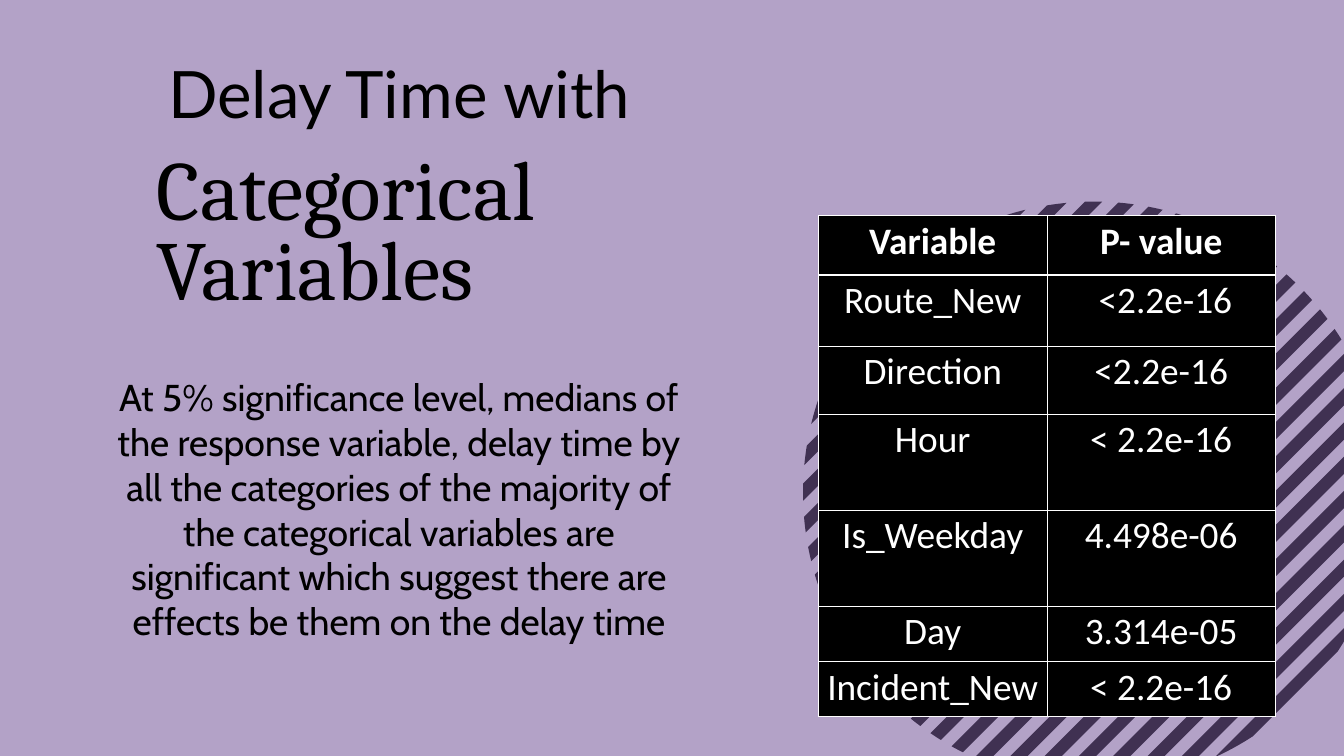
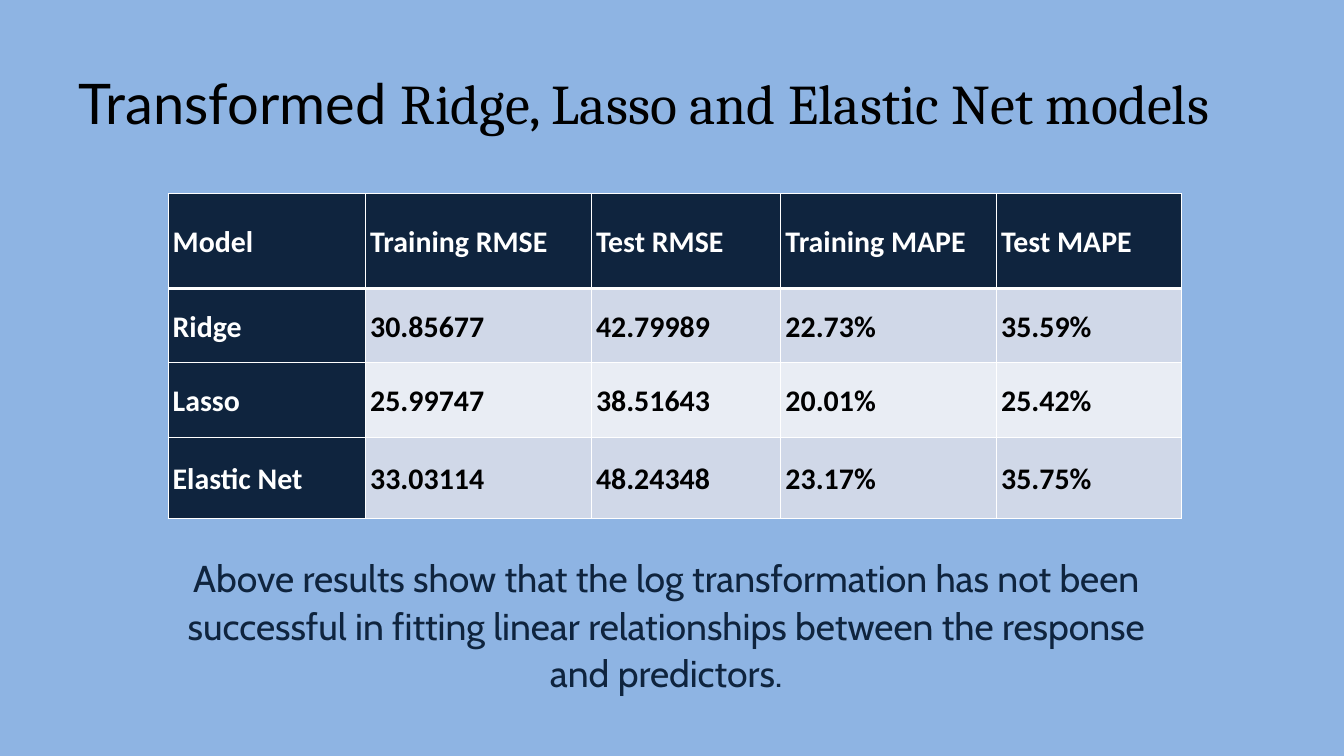
"""Build two slides on delay time: categorical variables and transformed models."""
from dataclasses import dataclass, field
from math import acos, cos, pi, sin, sqrt
from typing import Any

from lxml.etree import SubElement
from pptx import Presentation
from pptx.dml.color import RGBColor
from pptx.enum.text import MSO_ANCHOR, MSO_AUTO_SIZE, PP_ALIGN
from pptx.oxml.ns import qn
from pptx.presentation import Presentation as Deck
from pptx.slide import Slide
from pptx.util import Inches, Pt

COLOURS = {
    "lilac": "B3A2C7",
    "sky": "8EB4E3",
    "plum": "403152",
    "navy": "0F243E",
    "band_dark": "D0D8E8",
    "band_light": "E9EDF4",
    "black": "000000",
    "white": "FFFFFF",
}
NO_INSETS = dict.fromkeys(("margin_left", "margin_top", "margin_right", "margin_bottom"), 0)
TEXT_FRAME = NO_INSETS | {"word_wrap": True, "auto_size": MSO_AUTO_SIZE.SHAPE_TO_FIT_TEXT,
                          "vertical_anchor": MSO_ANCHOR.TOP}
CENTRED = {"alignment": PP_ALIGN.CENTER}
LEFT = {"alignment": PP_ALIGN.LEFT}
TITLE_PARA = LEFT | {"line_spacing": Pt(111.8)}


@dataclass
class Span:
    """A stretch of text in one font."""
    text: str
    font: str
    size: float
    colour: str = "black"
    bold: bool = False


@dataclass
class TextBlock:
    """A paragraph with its place in inches."""
    place: tuple[float, float, float, float]
    spans: list[Span]
    para: dict[str, Any]


@dataclass
class Grid:
    """A table with its place, sizes in inches and look."""
    place: tuple[float, float]
    columns: list[float]
    heights: list[float]
    rows: list[list[str]]
    size: float
    header_fill: str
    bands: list[str]
    band_text: str
    header_column: bool
    bold_body: bool
    para: dict[str, Any]
    cell: dict[str, Any] = field(default_factory=dict)


@dataclass
class StripedDisc:
    """A disc cut into diagonal stripes, in inches."""
    centre: tuple[float, float]
    radius: float
    stripes: int
    pitch: float
    colour: str


DISC = StripedDisc((16.28, 7.33), 4.33, 24, 0.51 / sqrt(2), "plum")
DELAY_TITLE = TextBlock((2.5, 0.41, 8.38, 1.57), [Span("Delay Time with", "Lato", 70)], TITLE_PARA)
DELAY_SUBTITLE = TextBlock((2.33, 2.33, 10.34, 2.52),
                           [Span("Categorical Variables", "Cambria", 90)],
                           LEFT | {"line_spacing": Pt(86.3)})
DELAY_FINDING = TextBlock((1.61, 5.57, 8.65, 5.25), [Span(
    "At 5% significance level, medians of the response variable, delay time by all the "
    "categories of the majority of the categorical variables are significant which suggest "
    "there are effects be them on the delay time", "Cabin", 40)], CENTRED)
P_VALUES = Grid(
    place=(12.18, 3.21),
    columns=[3.4, 3.4],
    heights=[0.88, 1.06, 1.01, 1.43, 1.43, 0.82, 0.82],
    rows=[
        ["Variable", "P- value"],
        ["Route_New", " <2.2e-16"],
        ["Direction", "<2.2e-16"],
        ["Hour", "< 2.2e-16"],
        ["Is_Weekday", "4.498e-06"],
        ["Day", "3.314e-05"],
        ["Incident_New", "< 2.2e-16"],
    ],
    size=40, header_fill="black", bands=["black"], band_text="white",
    header_column=False, bold_body=False, para=CENTRED,
)
MODEL_TITLE = TextBlock((1.17, 0.47, 17.22, 1.43), [
    Span("Transformed ", "Lato", 60),
    Span("Ridge, Lasso and Elastic Net models", "Cambria", 60),
], TITLE_PARA)
MODEL_SCORES = Grid(
    place=(2.5, 2.88),
    columns=[2.94, 3.36, 2.82, 3.21, 2.75],
    heights=[1.41, 1.11, 1.11, 1.21],
    rows=[
        ["Model", "Training RMSE", "Test RMSE", "Training MAPE", "Test MAPE"],
        ["Ridge", "30.85677", "42.79989", "22.73%", "35.59%"],
        ["Lasso", "25.99747", "38.51643", "20.01%", "25.42%"],
        ["Elastic Net", "33.03114", "48.24348", "23.17%", "35.75%"],
    ],
    size=32, header_fill="navy", bands=["band_dark", "band_light"], band_text="black",
    header_column=True, bold_body=True, para=LEFT | {"line_spacing": 1.07},
    cell=NO_INSETS | {"margin_left": Inches(0.07), "margin_right": Inches(0.07),
                      "vertical_anchor": MSO_ANCHOR.MIDDLE},
)
MODEL_FINDING = TextBlock((2.5, 8.21, 14.83, 2.14), [Span(
    "Above results show that the log transformation has not been successful in fitting "
    "linear relationships between the response and predictors.", "Cabin", 40, "navy")],
    CENTRED | {"line_spacing": 1.07, "space_after": Pt(8)})


def apply_format(target: Any, values: dict[str, Any]) -> None:
    """Set each format value on the target."""
    for name, value in values.items():
        setattr(target, name, value)


def paint(fill: Any, colour: str) -> None:
    """Give a fill one solid colour."""
    fill.solid()
    fill.fore_color.rgb = RGBColor.from_string(COLOURS[colour])


def write_para(frame: Any, spans: list[Span], para_format: dict[str, Any]) -> None:
    """Write the spans into the first paragraph of a frame."""
    para = frame.paragraphs[0]
    apply_format(para, para_format)
    for span in spans:
        run = para.add_run()
        run.text = span.text
        apply_format(run.font, {"name": span.font, "size": Pt(span.size), "bold": span.bold})
        run.font.color.rgb = RGBColor.from_string(COLOURS[span.colour])


def fill_box(box: Any, block: TextBlock) -> None:
    """Place a box and write its block of text."""
    apply_format(box, dict(zip(("left", "top", "width", "height"), map(Inches, block.place))))
    apply_format(box.text_frame, TEXT_FRAME)
    write_para(box.text_frame, block.spans, block.para)


def add_text(page: Slide, block: TextBlock) -> None:
    """Add a text box for a block."""
    fill_box(page.shapes.add_textbox(*map(Inches, block.place)), block)


def add_page(deck: Deck, background: str, title: TextBlock) -> Slide:
    """Add a title-only page with a background and a title."""
    page = deck.slides.add_slide(deck.slide_layouts.get_by_name("Title Only"))
    paint(page.background.fill, background)
    fill_box(page.shapes.title, title)
    return page


def border_cell(cell: Any, widths: dict[str, float]) -> None:
    """Draw white borders of the given point widths on a cell."""
    properties = cell._tc.get_or_add_tcPr()
    for side, width in widths.items():
        line = SubElement(properties, qn(f"a:ln{side}"), w=str(Pt(width)))
        solid = SubElement(line, qn("a:solidFill"))
        SubElement(solid, qn("a:srgbClr"), val=COLOURS["white"])


def add_grid(page: Slide, grid: Grid) -> None:
    """Add a table with its header, bands and borders."""
    frame = page.shapes.add_table(
        len(grid.rows), len(grid.columns), *map(Inches, grid.place),
        Inches(sum(grid.columns)), Inches(sum(grid.heights)))
    table = frame.table
    table.horz_banding = False
    for column, width in zip(table.columns, grid.columns):
        column.width = Inches(width)
    for row, height in zip(table.rows, grid.heights):
        row.height = Inches(height)
    for row_index, texts in enumerate(grid.rows):
        for column_index, text in enumerate(texts):
            cell = table.cell(row_index, column_index)
            is_top = row_index == 0
            is_header = is_top or (grid.header_column and column_index == 0)
            band = grid.bands[(row_index - 1) % len(grid.bands)]
            border_cell(cell, {"L": 1, "R": 1, "T": 3 if row_index == 1 else 1,
                               "B": 3 if is_top else 1})
            paint(cell.fill, grid.header_fill if is_header else band)
            apply_format(cell, grid.cell)
            colour = "white" if is_header else grid.band_text
            span = Span(text, "Calibri", grid.size, colour, is_top or grid.bold_body)
            write_para(cell.text_frame, [span], grid.para)


def stripe_outline(disc: StripedDisc, index: int, steps: int = 6) -> list[tuple[int, int]]:
    """Return the outline of one stripe, following the rim at both ends."""
    start = (index - disc.stripes / 2 + 0.25) * disc.pitch
    offsets = [start + disc.pitch / 2 * step / steps for step in range(steps + 1)]
    turns = [acos(offset / disc.radius) for offset in offsets]
    angles = [pi / 4 + turn for turn in turns] + [pi / 4 - turn for turn in reversed(turns)]
    return [(Inches(disc.centre[0] + disc.radius * cos(angle)),
             Inches(disc.centre[1] + disc.radius * sin(angle))) for angle in angles]


def add_striped_disc(page: Slide, disc: StripedDisc) -> None:
    """Add the striped disc as one freeform."""
    outlines = [stripe_outline(disc, index) for index in range(disc.stripes)]
    builder = page.shapes.build_freeform(*outlines[0][0])
    for index, outline in enumerate(outlines):
        if index:
            builder.move_to(*outline[0])
        builder.add_line_segments(outline[1:], close=True)
    shape = builder.convert_to_shape()
    shape.shadow.inherit = False
    paint(shape.fill, disc.colour)
    shape.line.fill.background()


def main() -> None:
    """Build and save the deck."""
    deck = Presentation()
    deck.slide_width, deck.slide_height = Inches(20), Inches(11.25)

    delay_page = add_page(deck, "lilac", DELAY_TITLE)
    add_striped_disc(delay_page, DISC)
    add_text(delay_page, DELAY_FINDING)
    add_text(delay_page, DELAY_SUBTITLE)
    add_grid(delay_page, P_VALUES)

    model_page = add_page(deck, "sky", MODEL_TITLE)
    add_grid(model_page, MODEL_SCORES)
    add_text(model_page, MODEL_FINDING)

    deck.save("out.pptx")


if __name__ == "__main__":
    main()
